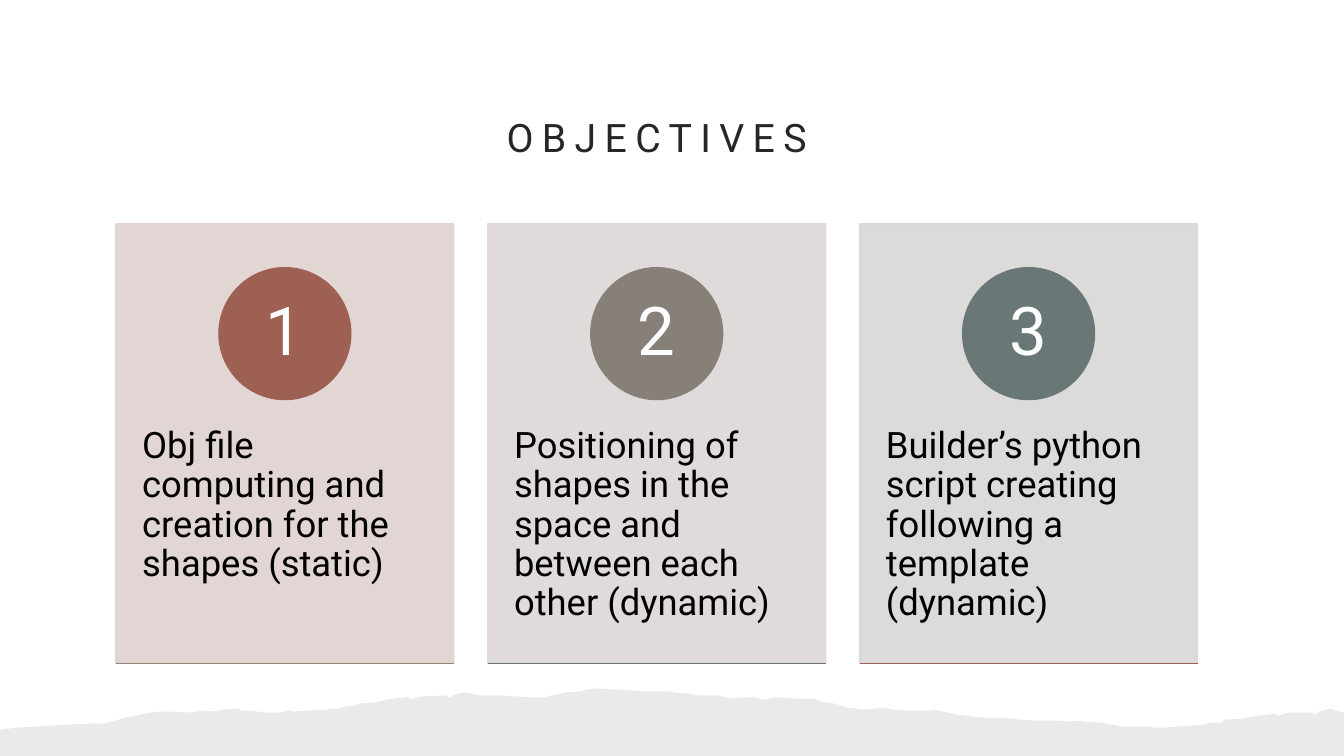
from lxml import etree
from pptx import Presentation
from pptx.dml.color import RGBColor
from pptx.enum import shapes, text
from pptx.oxml import ns
from pptx.util import Pt

FONT = "Roboto"
COLOURS = {
    "title": "262626", "body": "000000", "number": "FFFFFF", "paper": "82766A",
    "card 1": "DFD2D1", "circle 1": "9D6053", "rule 1": "968274",
    "card 2": "DDD8D6", "circle 2": "878079", "rule 2": "6C737A",
    "card 3": "D9D8D7", "circle 3": "697777", "rule 3": "9D6053",
}


def paint(shape, colour, opacity=100, outlined=True):
    """Solid fill and, if wanted, a matching outline of 1 point."""
    shape.shadow.inherit = False
    shape.fill.solid()
    formats = [shape.fill.fore_color]
    if outlined:
        shape.line.width = Pt(1)
        formats.append(shape.line.color)
    else:
        shape.line.fill.background()
    for colour_format in formats:
        colour_format.rgb = RGBColor.from_string(COLOURS[colour])
    if opacity < 100:
        for clr in shape._element.spPr.iter(ns.qn("a:srgbClr")):
            etree.SubElement(clr, ns.qn("a:alpha"), val=str(opacity * 1000))


def write(shape, words, size, colour, align, anchor, spacing, insets):
    """Put one paragraph into the shape; insets are left, top, right, bottom."""
    frame = shape.text_frame
    frame.word_wrap = True
    frame.vertical_anchor = anchor
    frame.margin_left, frame.margin_top, frame.margin_right, frame.margin_bottom = map(Pt, insets)
    paragraph = frame.paragraphs[0]
    paragraph.alignment = align
    paragraph.line_spacing = spacing
    run = paragraph.add_run()
    run.text = words
    run.font.name = FONT
    run.font.size = Pt(size)
    run.font.color.rgb = RGBColor.from_string(COLOURS[colour])
    return run


CENTER, LEFT = text.PP_ALIGN.CENTER, text.PP_ALIGN.LEFT
MIDDLE, TOP = text.MSO_ANCHOR.MIDDLE, text.MSO_ANCHOR.TOP

deck = Presentation()
deck.slide_width, deck.slide_height = Pt(960), Pt(540)
slide = deck.slides.add_slide(deck.slide_layouts[6])

# Title
title = slide.shapes.add_textbox(Pt(82.8), Pt(48), Pt(772.6), Pt(96))
title_run = write(title, "OBJECTIVES", 28, "title", CENTER, MIDDLE, 1.1, (7.2, 3.6, 7.2, 3.6))
title_run.font._element.set("spc", "600")

# Torn paper edge along the bottom
torn_edge = [
    (0, 521.3), (5, 520.6), (13, 519.8), (26, 519), (48, 517.7), (63.4, 517), (74, 517),
    (90, 512.6), (103.7, 509.8), (113, 508.3), (120, 508.3), (137.5, 509), (144, 507.6),
    (151, 508.3), (161, 506.9), (168.5, 506.2), (173.5, 507.6), (178, 507.6), (190, 509),
    (199.4, 509), (206.6, 507.6), (211, 508.3), (220, 507.6), (232.6, 506.9), (242, 506.2),
    (247, 504.7), (254, 504), (257, 502.6), (268.6, 501.8), (276.5, 499.7), (288.7, 498.2),
    (292.3, 497.5), (291.6, 499), (295, 499), (302.4, 497.5), (318.2, 496.8), (321, 498.2),
    (324.7, 496), (332.6, 494.6), (342.7, 496.8), (358.6, 496.8), (378, 498.2), (388, 498.2),
    (404.6, 494.6), (414, 493.9), (419, 492.5), (427.7, 491.8), (450.7, 493.2), (460, 493.9),
    (475, 493.9), (490.3, 495.4), (499, 496.8), (512, 496.8), (522.7, 499), (530, 498.2),
    (540, 498.2), (545, 499.7), (555, 498.2), (569.5, 499), (580.3, 499), (588, 501.5),
    (596.2, 502.6), (604.8, 505.4), (617, 506.9), (632, 505.4), (636.5, 506.9), (650, 507.6),
    (664.6, 507.6), (667.4, 506.9), (683.3, 510.5), (702, 512.6), (713.5, 512.6),
    (722.9, 513.4), (738, 514.8), (755.3, 514.8), (765.4, 515.5), (769.7, 514.8),
    (775.4, 515.5), (785.5, 516.2), (802, 519), (820, 519), (825, 519.8), (831, 519.8),
    (841.7, 519), (851, 518.4), (859.7, 517.7), (864.7, 516.2), (872.6, 516.2), (874.8, 514),
    (887, 513.4), (894.2, 511.9), (906.5, 510.5), (910, 509.8), (913.7, 511.2), (920.2, 509),
    (936.7, 509), (939.6, 510.5), (942.5, 508.3), (950.4, 506.2), (956.9, 508.3), (960, 509),
]
outline = [(Pt(x), Pt(y)) for x, y in torn_edge + [(960, 540), (0, 540)]]
builder = slide.shapes.build_freeform(*outline[0], scale=1.0)
builder.add_line_segments(outline[1:], close=True)
paint(builder.convert_to_shape(), "paper", opacity=15, outlined=False)

# Objective cards
objectives = [
    "Obj file computing and creation for the shapes (static)",
    "Positioning of shapes in the space and between each other (dynamic)",
    "Builder’s python script creating following a template (dynamic)",
]
card_left, card_top, card_width, card_height, card_pitch = 82.8, 159.8, 241.4, 314, 265.6
diameter, circle_drop = 94.2, 31.4

for number, objective in enumerate(objectives, start=1):
    left = card_left + (number - 1) * card_pitch
    bottom = card_top + card_height

    card = slide.shapes.add_shape(shapes.MSO_SHAPE.RECTANGLE, Pt(left), Pt(card_top),
                                  Pt(card_width), Pt(card_height))
    paint(card, f"card {number}", opacity=90)
    write(card, objective, 26, "body", LEFT, TOP, 0.9, (18.8, 145.4, 18.8, 32.4))

    circle = slide.shapes.add_shape(shapes.MSO_SHAPE.OVAL, Pt(left + (card_width - diameter) / 2),
                                    Pt(card_top + circle_drop), Pt(diameter), Pt(diameter))
    paint(circle, f"circle {number}")
    write(circle, str(number), 48, "number", CENTER, MIDDLE, 0.9, (0, 0, 0, 0))

    rule = slide.shapes.add_connector(shapes.MSO_CONNECTOR.STRAIGHT, Pt(left), Pt(bottom),
                                      Pt(left + card_width), Pt(bottom))
    rule.line.width = Pt(1)
    rule.line.color.rgb = RGBColor.from_string(COLOURS[f"rule {number}"])
    etree.SubElement(rule._element.spPr, ns.qn("a:effectLst"))

deck.save("out.pptx")
